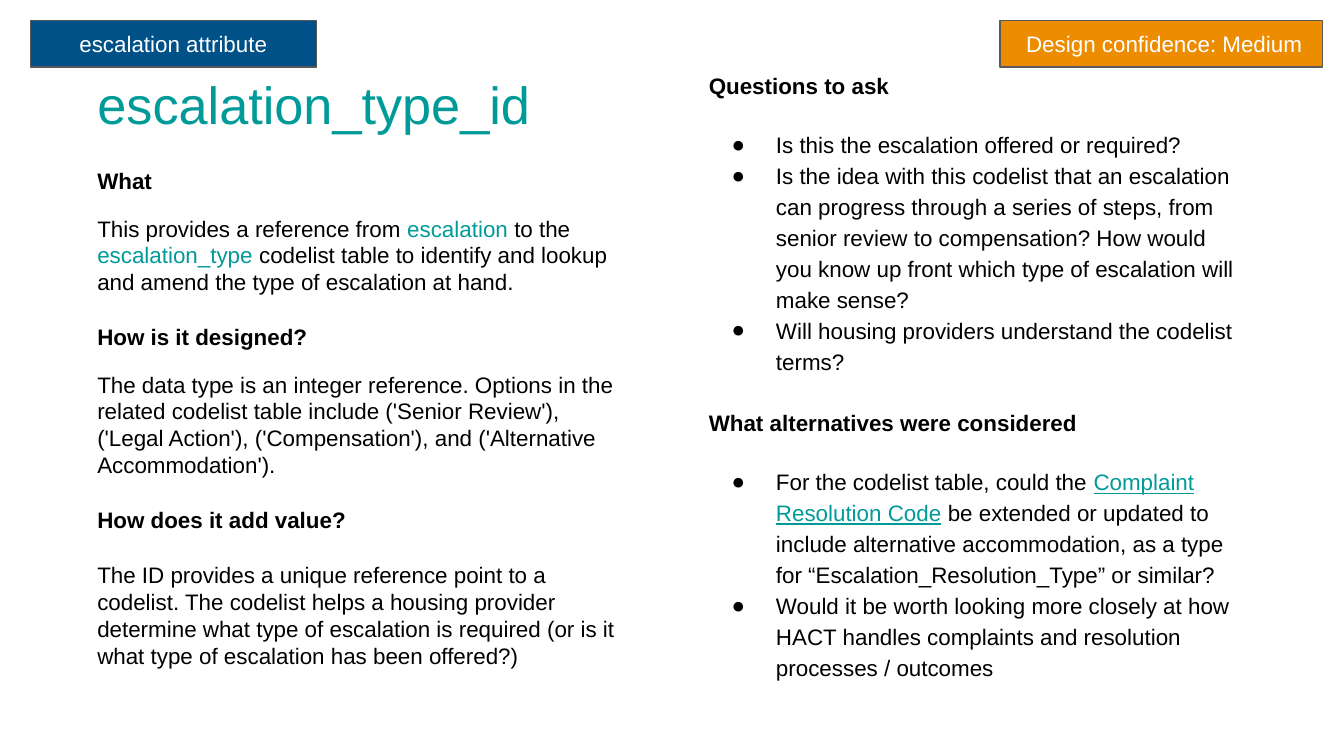
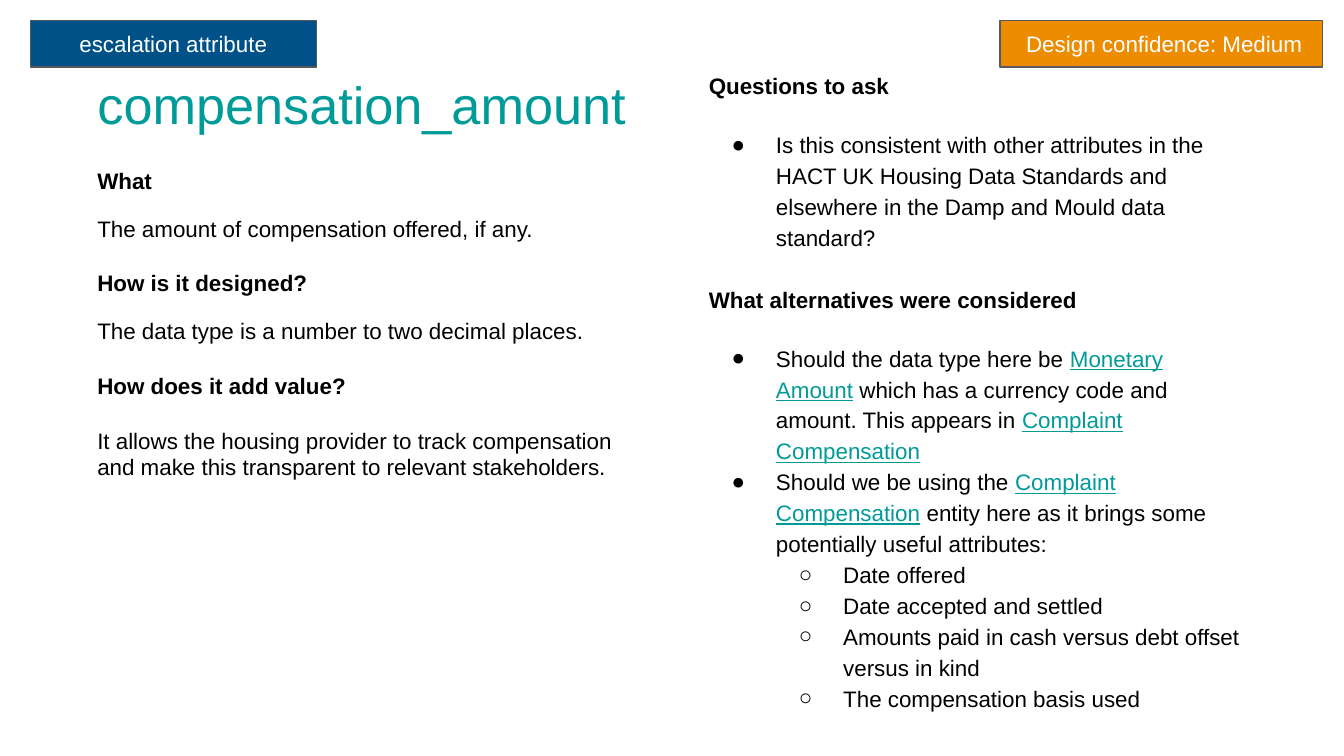
"""Build two slides that describe attributes of the escalation entity."""
from dataclasses import dataclass
from typing import NamedTuple

import pptx
import pptx.dml.color
import pptx.enum.shapes
import pptx.enum.text
import pptx.oxml.ns
import pptx.util
from lxml import etree

RGBColor = pptx.dml.color.RGBColor
TEAL = RGBColor(0x00, 0x9B, 0x99)
BLUE = RGBColor(0x00, 0x51, 0x87)
ORANGE = RGBColor(0xEE, 0x8C, 0x00)
GREY = RGBColor(0x59, 0x59, 0x59)
BLACK = RGBColor(0x00, 0x00, 0x00)
WHITE = RGBColor(0xFF, 0xFF, 0xFF)

FONT = "Arial"
TEXT_SIZE = 12
TITLE_SIZE = 28
EMU_PER_PX = 4572
INSET = 20
BULLETS = "●○"
LEVEL_INDENT = 100
HANGING = 66
LIST_SPACING = 1.15
TITLE_ONLY = 5


class Box(NamedTuple):
    left: int
    top: int
    width: int
    height: int


class Run(NamedTuple):
    text: str
    color: RGBColor = BLACK
    bold: bool = False
    underline: bool = False


@dataclass(frozen=True)
class Line:
    runs: tuple[Run, ...]
    before: float = 0
    level: int = 0
    spacing: float | None = None


@dataclass(frozen=True)
class Tag:
    text: str
    box: Box
    fill: RGBColor


@dataclass(frozen=True)
class Attribute:
    name: str
    what: tuple[Run, ...]
    design: str
    value: str
    questions: tuple[Line, ...]
    alternatives: tuple[Line, ...]


SLIDE_SIZE = (2000, 1125)
TITLE_BOX = Box(125, 88, 886, 126)
SUMMARY_BOX = Box(125, 229, 824, 688)
REVIEW_BOX = Box(1035, 88, 833, 666)
TAGS = (
    Tag(" Design confidence: Medium", Box(1488, 31, 480, 69), ORANGE),
    Tag("escalation attribute", Box(45, 31, 426, 69), BLUE),
)


def px(length: int) -> pptx.util.Emu:
    """Turn px into EMU."""
    return pptx.util.Emu(length * EMU_PER_PX)


def term(text: str) -> Run:
    """Return a run that names a table."""
    return Run(text, TEAL)


def link(text: str) -> Run:
    """Return an underlined reference."""
    return Run(text, TEAL, underline=True)


def heading(text: str, before: float = 0, spacing: float | None = None) -> Line:
    """Return a bold heading line."""
    return Line((Run(text, bold=True),), before, spacing=spacing)


def body(*runs: Run, before: float = 11) -> Line:
    """Return a line of running text."""
    return Line(runs, before)


def item(*runs: Run, level: int = 1, before: float = 0) -> Line:
    """Return a bulleted line."""
    return Line(runs, before, level, LIST_SPACING)


ATTRIBUTES = (
    Attribute(
        name="escalation_type_id",
        what=(
            Run("This provides a reference from "),
            term("escalation"),
            Run(" to the "),
            term("escalation_type"),
            Run(" codelist table to identify and lookup and amend the type of "
                "escalation at hand."),
        ),
        design="The data type is an integer reference. Options in the related codelist "
               "table include ('Senior Review'), ('Legal Action'), ('Compensation'), "
               "and ('Alternative Accommodation').",
        value="The ID provides a unique reference point to a codelist. The codelist helps "
              "a housing provider determine what type of escalation is required (or is "
              "it what type of escalation has been offered?)",
        questions=(
            item(Run("Is this the escalation offered or required?"), before=15),
            item(Run("Is the idea with this codelist that an escalation can progress "
                     "through a series of steps, from senior review to compensation? How "
                     "would you know up front which type of escalation will make sense?")),
            item(Run("Will housing providers understand the codelist terms?")),
        ),
        alternatives=(
            item(Run("For the codelist table, could the "),
                 link("Complaint Resolution Code"),
                 Run(" be extended or updated to include alternative accommodation, as a "
                     "type for “Escalation_Resolution_Type” or similar?"),
                 before=15),
            item(Run("Would it be worth looking more closely at how HACT handles "
                     "complaints and resolution processes / outcomes")),
        ),
    ),
    Attribute(
        name="compensation_amount",
        what=(Run("The amount of compensation offered, if any."),),
        design="The data type is a number to two decimal places.",
        value="It allows the housing provider to track compensation and make this "
              "transparent to relevant stakeholders.",
        questions=(
            item(Run("Is this consistent with other attributes in the HACT UK Housing "
                     "Data Standards and elsewhere in the Damp and Mould data standard?"),
                 before=15),
        ),
        alternatives=(
            item(Run("Should the data type here be "),
                 link("Monetary Amount"),
                 Run(" which has a currency code and amount. This appears in "),
                 link("Complaint Compensation"),
                 before=15),
            item(Run("Should we be using the "),
                 link("Complaint Compensation"),
                 Run(" entity here as it brings some potentially useful attributes:")),
            item(Run("Date offered"), level=2),
            item(Run("Date accepted and settled"), level=2),
            item(Run("Amounts paid in cash versus debt offset versus in kind"), level=2),
            item(Run("The compensation basis used"), level=2),
        ),
    ),
)


def prepare_frame(frame, anchor=pptx.enum.text.MSO_ANCHOR.TOP) -> None:
    """Set wrapping, anchor and insets of a text frame."""
    frame.word_wrap = True
    frame.auto_size = pptx.enum.text.MSO_AUTO_SIZE.NONE
    frame.vertical_anchor = anchor
    frame.margin_left = frame.margin_right = px(INSET)
    frame.margin_top = frame.margin_bottom = px(INSET)


def add_run(paragraph, run: Run, size: int = TEXT_SIZE) -> None:
    """Append one formatted run to a paragraph."""
    piece = paragraph.add_run()
    piece.text = run.text
    piece.font.name = FONT
    piece.font.size = pptx.util.Pt(size)
    piece.font.bold = run.bold
    piece.font.underline = run.underline
    piece.font.color.rgb = run.color


def add_bullet(paragraph, level: int) -> None:
    """Give a paragraph the bullet and hanging indent of its level."""
    qn = pptx.oxml.ns.qn
    properties = paragraph._p.get_or_add_pPr()
    properties.set("marL", str(px(LEVEL_INDENT * level)))
    properties.set("indent", str(px(-HANGING)))
    bullet_color = etree.SubElement(properties, qn("a:buClr"))
    etree.SubElement(bullet_color, qn("a:srgbClr"), val=str(BLACK))
    etree.SubElement(properties, qn("a:buFont"), typeface=FONT)
    etree.SubElement(properties, qn("a:buChar"), char=BULLETS[level - 1])
    paragraph.level = level - 1


def add_column(slide, box: Box, lines: list[Line]) -> None:
    """Draw a column of headings, text and bulleted lines."""
    frame = slide.shapes.add_textbox(*map(px, box)).text_frame
    prepare_frame(frame)
    for index, line in enumerate(lines):
        paragraph = frame.add_paragraph() if index else frame.paragraphs[0]
        if line.level:
            add_bullet(paragraph, line.level)
        if line.spacing:
            paragraph.line_spacing = line.spacing
        paragraph.space_before = pptx.util.Pt(line.before)
        for run in line.runs:
            add_run(paragraph, run)


def add_title(slide, name: str) -> None:
    """Place and format the title placeholder."""
    title = slide.shapes.title
    title.left, title.top, title.width, title.height = map(px, TITLE_BOX)
    prepare_frame(title.text_frame)
    paragraph = title.text_frame.paragraphs[0]
    paragraph.alignment = pptx.enum.text.PP_ALIGN.LEFT
    add_run(paragraph, Run(name, TEAL), TITLE_SIZE)


def add_tag(slide, tag: Tag) -> None:
    """Draw a coloured label at the top of the slide."""
    label = slide.shapes.add_shape(
        pptx.enum.shapes.MSO_SHAPE.RECTANGLE, *map(px, tag.box))
    label.shadow.inherit = False
    label.fill.solid()
    label.fill.fore_color.rgb = tag.fill
    label.line.color.rgb = GREY
    label.line.width = pptx.util.Pt(0.75)
    prepare_frame(label.text_frame, pptx.enum.text.MSO_ANCHOR.MIDDLE)
    paragraph = label.text_frame.paragraphs[0]
    paragraph.alignment = pptx.enum.text.PP_ALIGN.CENTER
    add_run(paragraph, Run(tag.text, WHITE))


def add_attribute_slide(presentation, attribute: Attribute) -> None:
    """Add the slide of one attribute."""
    slide = presentation.slides.add_slide(presentation.slide_layouts[TITLE_ONLY])
    add_title(slide, attribute.name)
    add_column(slide, SUMMARY_BOX, [
        heading("What"),
        body(*attribute.what),
        heading("How is it designed?", before=15),
        body(Run(attribute.design)),
        heading("How does it add value?", before=15),
        body(Run(attribute.value), before=15),
    ])
    add_column(slide, REVIEW_BOX, [
        heading("Questions to ask"),
        *attribute.questions,
        heading("What alternatives were considered", before=16.5, spacing=LIST_SPACING),
        *attribute.alternatives,
    ])
    for tag in TAGS:
        add_tag(slide, tag)


def main() -> None:
    """Build and save the presentation."""
    presentation = pptx.Presentation()
    presentation.slide_width, presentation.slide_height = map(px, SLIDE_SIZE)
    for attribute in ATTRIBUTES:
        add_attribute_slide(presentation, attribute)
    presentation.save("out.pptx")


if __name__ == "__main__":
    main()
